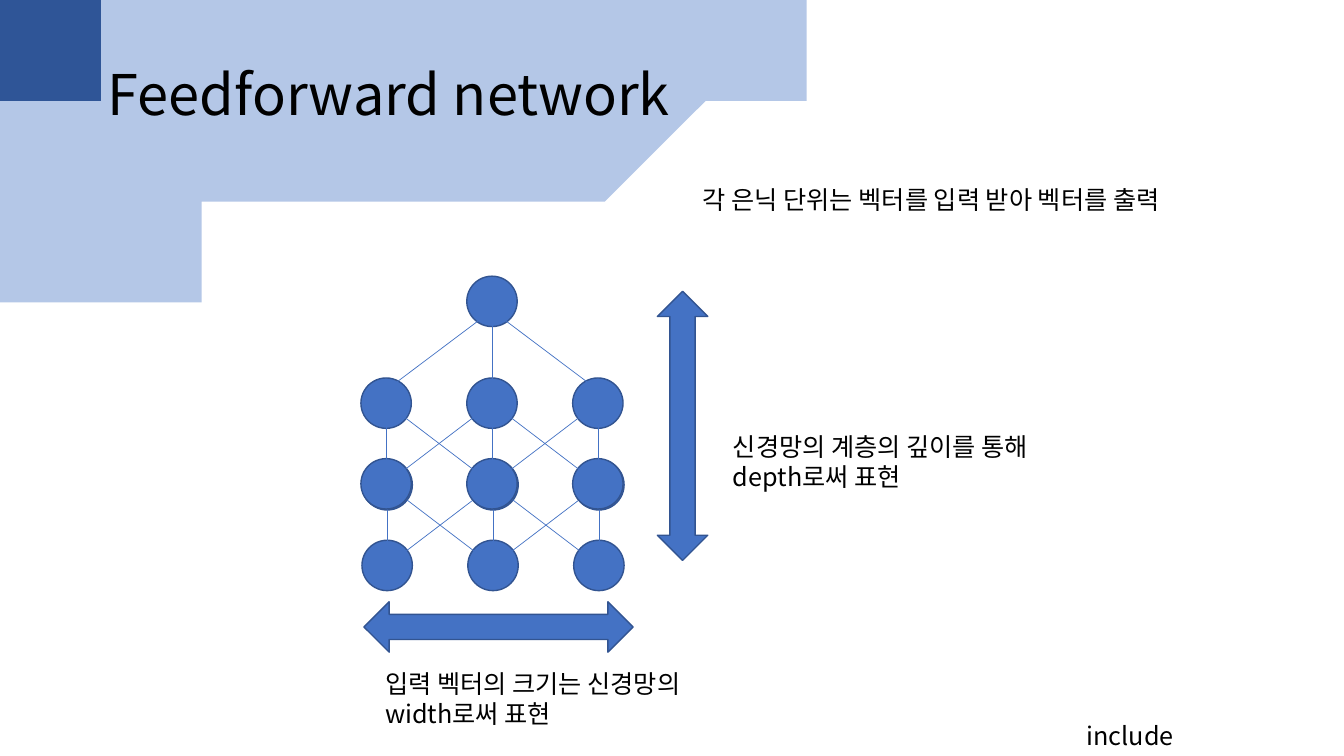
from lxml import etree
from pptx import Presentation
from pptx.dml.color import RGBColor
from pptx.enum import shapes, text
from pptx.oxml import ns
from pptx.util import Inches, Pt

FONT = "Noto Sans CJK KR"
BLACK = RGBColor(0x00, 0x00, 0x00)
BLUE = RGBColor(0x44, 0x72, 0xC4)
EDGE = RGBColor(0x32, 0x54, 0x91)
PALE = RGBColor(0xB4, 0xC7, 0xE7)
NAVY = RGBColor(0x2F, 0x55, 0x97)

NODE = 0.5
COLS = [3.84 + 1.05 * i for i in range(3)]
STEP = 0.8
SHIFT = 0.01


def write(frame, words, size=18, color=BLACK, spacing=None):
    frame.word_wrap = True
    frame.vertical_anchor = text.MSO_ANCHOR.TOP
    para = frame.paragraphs[0]
    para.alignment = text.PP_ALIGN.LEFT
    if spacing:
        para.line_spacing = spacing
    run = para.add_run()
    run.text = words
    run.font.size = Pt(size)
    run.font.name = FONT
    run.font.color.rgb = color
    east = etree.SubElement(run.font._element, ns.qn("a:ea"))
    east.set("typeface", FONT)


def label(slide, words, left, top, width, height):
    box = slide.shapes.add_textbox(*map(Inches, (left, top, width, height)))
    write(box.text_frame, words)


def curve(start, first, second, end, count=60):
    """Return points along a cubic Bezier curve."""
    points = []
    for i in range(count + 1):
        t = i / count
        s = 1 - t
        points.append(tuple(
            s**3 * a + 3 * s * s * t * b + 3 * s * t * t * c + t**3 * d
            for a, b, c, d in zip(start, first, second, end)))
    return points


def wave(slide, corner, bend, color):
    """Fill the area between the slide corner and a curved edge."""
    build = slide.shapes.build_freeform(*corner, scale=Inches(1))
    build.add_line_segments(curve(*bend), close=True)
    shape = build.convert_to_shape()
    shape.shadow.inherit = False
    shape.fill.solid()
    shape.fill.fore_color.rgb = color
    shape.line.fill.background()


def solid(slide, kind, left, top, width, height):
    shape = slide.shapes.add_shape(
        kind, *map(Inches, (left, top, width, height)))
    shape.shadow.inherit = False
    shape.fill.solid()
    shape.fill.fore_color.rgb = BLUE
    shape.line.color.rgb = EDGE
    shape.line.width = Pt(1)


def node(slide, x, y):
    solid(slide, shapes.MSO_SHAPE.FLOWCHART_CONNECTOR,
          x - NODE / 2, y - NODE / 2, NODE, NODE)


def link(slide, x1, y1, x2, y2):
    line = slide.shapes.add_connector(
        shapes.MSO_CONNECTOR.STRAIGHT, *map(Inches, (x1, y1, x2, y2)))
    line.line.color.rgb = BLUE
    line.line.width = Pt(0.5)
    etree.SubElement(line.element.spPr, ns.qn("a:effectLst"))


def layers(slide, shift, base):
    """Draw two rows of nodes, linked upright and to their neighbours."""
    cols = [x - shift for x in COLS]
    for y in (base, base - STEP):
        for x in cols:
            node(slide, x, y)
    for i, low in enumerate(cols):
        for j, high in enumerate(cols):
            if abs(i - j) <= 1:
                link(slide, low, base, high, base - STEP)


def main():
    deck = Presentation()
    deck.slide_width, deck.slide_height = Inches(13.33), Inches(7.5)
    slide = deck.slides.add_slide(deck.slide_layouts[5])

    label(slide, "include", 10.68, 7.1, 2.6, 0.4)
    wave(slide, (-0.08, -0.05),
         [(7.81, -0.05), (7.06, 3.27), (-0.18, 1.53), (0, 4.03)], PALE)
    wave(slide, (-0.15, -0.11),
         [(2.28, -0.11), (1.3, 1.04), (0.68, 0.25), (-0.15, 1.07)], NAVY)

    title = slide.shapes.title
    title.left, title.top = Inches(0.97), Inches(0.62)
    title.width, title.height = Inches(11.33), Inches(1)
    write(title.text_frame, "Feedforward network", size=40, spacing=0.9)
    slide.shapes.element.append(title.element)

    layers(slide, 0, 5.61)
    layers(slide, SHIFT, 4.8)
    left, mid, right = (x - SHIFT for x in COLS)
    node(slide, mid, 2.99)
    for x in (left, mid, right):
        link(slide, x, 3.87, mid, 3.08)

    label(slide, "각 은닉 단위는 벡터를 입력 받아 벡터를 출력", 6.87, 1.78, 5.91, 0.4)
    label(slide, "입력 벡터의 크기는 신경망의 width로써 표현", 3.72, 6.58, 3.32, 0.71)
    label(slide, "신경망의 계층의 깊이를 통해 depth로써 표현", 7.17, 4.23, 3.32, 0.71)
    solid(slide, shapes.MSO_SHAPE.UP_DOWN_ARROW, 6.52, 2.89, 0.5, 2.67)
    solid(slide, shapes.MSO_SHAPE.LEFT_RIGHT_ARROW, 3.61, 5.97, 2.67, 0.5)

    deck.save("out.pptx")


if __name__ == "__main__":
    main()
